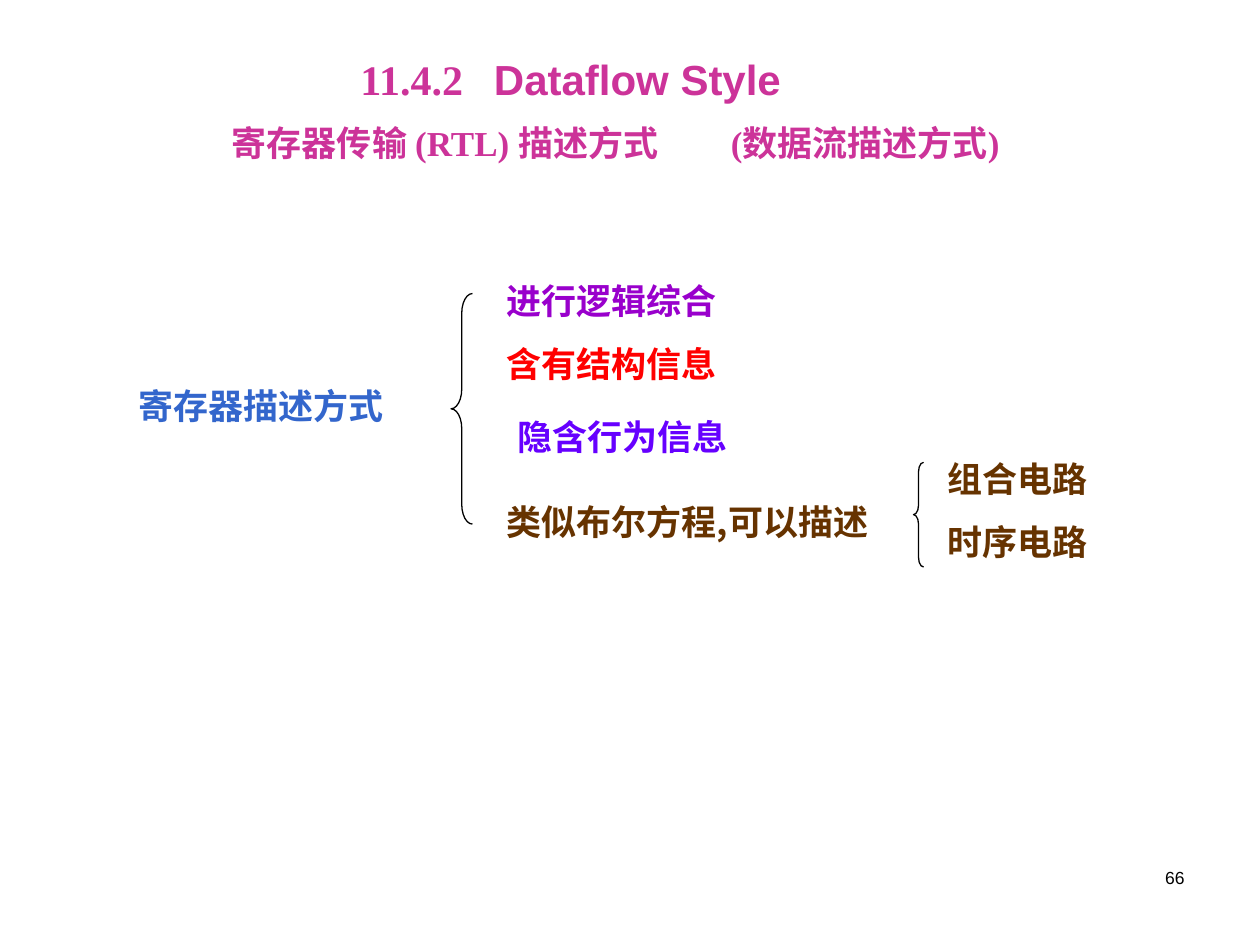
"""Build the slide on the dataflow (RTL) description style."""
from lxml import etree
from pptx import Presentation
from pptx.dml.color import RGBColor
from pptx.enum.lang import MSO_LANGUAGE_ID
from pptx.enum.shapes import MSO_SHAPE
from pptx.enum.text import MSO_ANCHOR, MSO_AUTO_SIZE, PP_ALIGN
from pptx.oxml.ns import qn
from pptx.util import Inches, Pt

LEFT, RIGHT = PP_ALIGN.LEFT, PP_ALIGN.RIGHT
TOP = MSO_ANCHOR.TOP
GROW, FIXED = MSO_AUTO_SIZE.SHAPE_TO_FIT_TEXT, MSO_AUTO_SIZE.NONE
LEFT_BRACE = MSO_SHAPE.LEFT_BRACE
CHINESE = MSO_LANGUAGE_ID.SIMPLIFIED_CHINESE
TITLE_ONLY = 5

SERIF, SANS, CJK = "Times New Roman", "Arial", "Noto Sans CJK SC"
COLORS = {
    "title": "CC3399",
    "subject": "3366CC",
    "synthesis": "9900CC",
    "structure": "FF0000",
    "behaviour": "6600FF",
    "circuit": "663300",
    "ink": "000000",
}


class SlideBuilder:
    """Hold the style and the current slide."""

    def __init__(self, slide):
        self.slide = slide

    def place(self, shape, left, top, width, height):
        shape.left, shape.top = Inches(left), Inches(top)
        shape.width, shape.height = Inches(width), Inches(height)

    def run(self, paragraph, text, size, font, color, bold=True):
        run = paragraph.add_run()
        run.text = text
        run.font.size, run.font.name, run.font.bold = Pt(size), font, bold
        run.font.color.rgb = RGBColor.from_string(COLORS[color])
        run.font.language_id = CHINESE
        east_asian = etree.SubElement(run.font._element, qn("a:ea"))
        east_asian.set("typeface", CJK)

    def tabs(self, paragraph, stops):
        tab_list = etree.SubElement(paragraph._p.get_or_add_pPr(), qn("a:tabLst"))
        for stop in stops:
            etree.SubElement(tab_list, qn("a:tab"), pos=str(Inches(stop)), algn="l")

    def title(self, box, lines):
        title = self.slide.shapes.title
        self.place(title, *box)
        frame = title.text_frame
        frame.word_wrap, frame.auto_size, frame.vertical_anchor = True, FIXED, TOP
        for index, (size, space_before, stops, runs) in enumerate(lines):
            paragraph = frame.add_paragraph() if index else frame.paragraphs[0]
            self.tabs(paragraph, stops)
            paragraph.alignment, paragraph.line_spacing = LEFT, 0.9
            paragraph.space_before = Pt(space_before)
            for text, font in runs:
                self.run(paragraph, text, size, font, "title")

    def label(self, text, box, color, font=SERIF, size=20, bold=True, align=LEFT):
        label = self.slide.shapes.add_textbox(*map(Inches, box))
        frame = label.text_frame
        frame.word_wrap, frame.auto_size = True, GROW
        paragraph = frame.paragraphs[0]
        paragraph.alignment = align
        self.run(paragraph, text, size, font, color, bold)

    def brace(self, box):
        brace = self.slide.shapes.add_shape(LEFT_BRACE, *map(Inches, box))
        brace.adjustments[0] = 0.92
        brace.shadow.inherit = False
        brace.fill.background()
        brace.line.color.rgb = RGBColor.from_string(COLORS["ink"])
        brace.line.width = Pt(0.75)


def main():
    deck = Presentation()
    deck.slide_width, deck.slide_height = Inches(10), Inches(7.5)
    builder = SlideBuilder(deck.slides.add_slide(deck.slide_layouts[TITLE_ONLY]))

    builder.title((1.67, 0.42, 6.6, 1.3), [
        (24, 0, (1.09, 2.15), [("\t11.4.2\t", SERIF), ("Dataflow Style", SANS)]),
        (20, 12.5, (0.07, 4.03),
         [("\t寄存器传输 (RTL) 描述方式\t(数据流描述方式)", SERIF)]),
    ])

    builder.label("寄存器描述方式", (1, 3, 2.42, 0.44), "subject")
    builder.brace((3.58, 2.33, 0.17, 1.83))
    features = [
        ("进行逻辑综合", 3.92, 2.17, "synthesis"),
        ("含有结构信息", 3.92, 2.67, "structure"),
        ("隐含行为信息", 4.01, 3.25, "behaviour"),
    ]
    for feature, left, top, color in features:
        builder.label(feature, (left, top, 2.17, 0.44), color)

    builder.label("类似布尔方程,可以描述", (3.92, 3.92, 3.42, 0.44), "circuit", CJK)
    builder.brace((7.25, 3.67, 0.08, 0.83))
    for row, circuit in enumerate(("组合电路", "时序电路")):
        builder.label(circuit, (7.42, 3.58 + row * 0.5, 1.32, 0.44), "circuit", CJK)

    builder.label("66", (7.17, 6.83, 2.33, 0.5), "ink", SANS, 10, False, RIGHT)
    deck.save("out.pptx")


if __name__ == "__main__":
    main()
